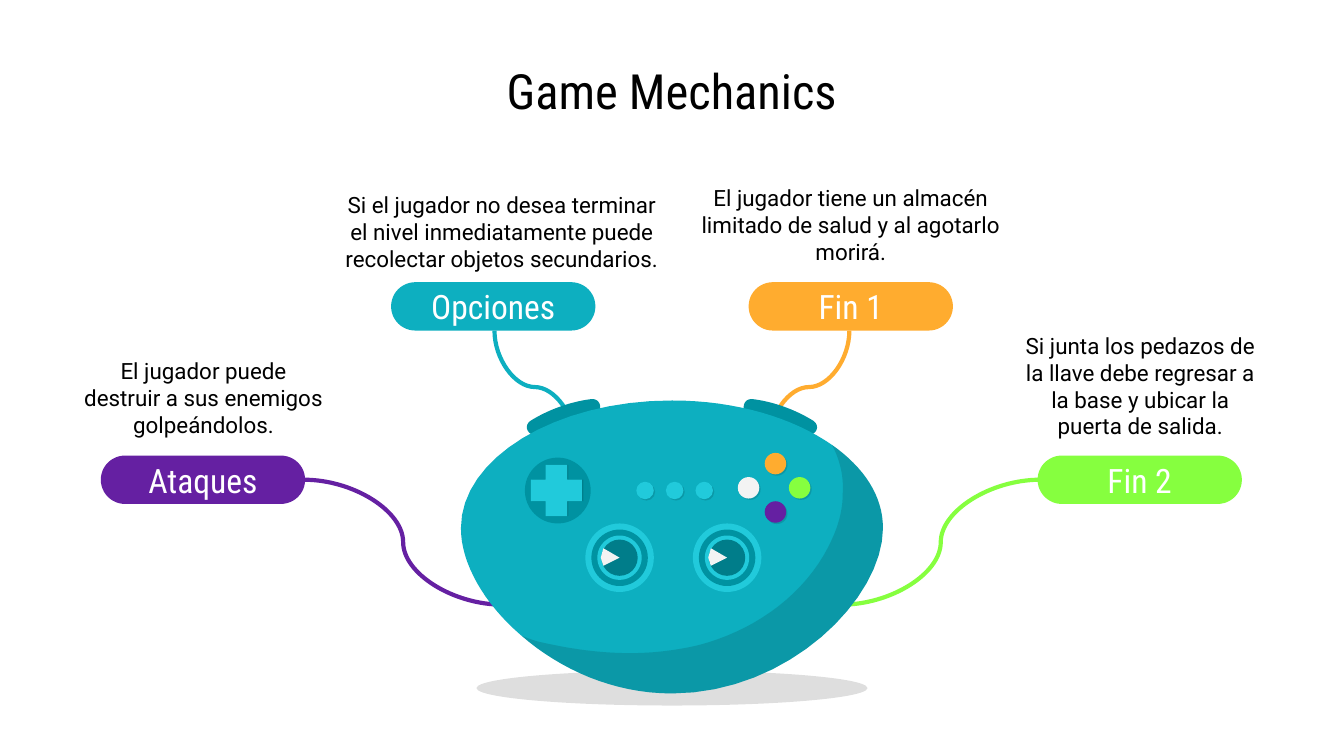
from lxml.etree import SubElement
from pptx import Presentation
from pptx.dml.color import RGBColor
from pptx.enum.shapes import MSO_CONNECTOR, MSO_SHAPE as SHAPE
from pptx.enum.text import MSO_ANCHOR, PP_ALIGN
from pptx.oxml.ns import qn
from pptx.util import Inches, Pt

TEAL, DARK, DEEP, LIGHT = "0DAFC0", "0092A1", "007D8A", "21CADB"
PURPLE, GREEN, ORANGE, PALE = "6520A2", "86FF3F", "FFAC2F", "F3F3F3"
SHADE = 13

TITLE = "Game Mechanics"
PILL_W, PILL_H = 1.52, 0.36
LABELS = [
    ("Ataques", "El jugador puede destruir a sus enemigos golpeándolos.",
     PURPLE, (0.75, 3.39), (0.5, 2.03, 0.86), (3.74, 4.5, 2.26, 3.57)),
    ("Fin 2", "Si junta los pedazos de la llave debe regresar a la base y ubicar la puerta de salida.",
     GREEN, (7.72, 3.39), (7.47, 2.03, 1.04), (6.26, 4.5, 7.74, 3.57)),
    ("Opciones", "Si el jugador no desea terminar el nivel inmediatamente puede recolectar objetos secundarios.",
     TEAL, (2.91, 2.1), (2.45, 2.57, 0.75), (4.28, 3.3, 3.68, 2.46)),
    ("Fin 1", "El jugador tiene un almacén limitado de salud y al agotarlo morirá.",
     ORANGE, (5.57, 2.1), (5.12, 2.42, 0.86), (5.72, 3.3, 6.32, 2.46)),
]

BUMPER = [(4.41, 2.97), (4.4, 2.97), (4.4, 2.97), (4.4, 2.97),
          (4.24, 2.99), (4.08, 3.05), (3.95, 3.13),
          (3.89, 3.17), (3.93, 3.24), (3.99, 3.24),
          (4, 3.24), (4.01, 3.24), (4.02, 3.23),
          (4.14, 3.16), (4.27, 3.11), (4.41, 3.09),
          (4.49, 3.08), (4.48, 2.97), (4.41, 2.97)]
BODY = [(5, 2.98), (4.13, 2.98), (3.43, 3.41), (3.43, 3.93),
        (3.43, 4.19), (3.6, 4.49), (3.88, 4.73),
        (4.17, 4.98), (4.56, 5.16), (5, 5.16),
        (5.87, 5.16), (6.57, 4.45), (6.57, 3.93),
        (6.57, 3.69), (6.43, 3.48), (6.19, 3.31),
        (5.9, 3.11), (5.48, 2.98), (5, 2.98)]
INNER = [(6.19, 3.31), (6.25, 3.42), (6.28, 3.55), (6.27, 3.68),
         (6.27, 3.84), (6.21, 3.99), (6.13, 4.13),
         (5.93, 4.47), (5.58, 4.7), (5.2, 4.8),
         (5.03, 4.84), (4.86, 4.86), (4.69, 4.86),
         (4.47, 4.86), (4.25, 4.83), (4.03, 4.78),
         (3.98, 4.77), (3.93, 4.75), (3.88, 4.73)]
SIDE = INNER + BODY[7:16]

STICKS = [(4.61, 4.15), (5.41, 4.15)]
RINGS = [(0.51, LIGHT), (0.42, DARK), (0.33, LIGHT), (0.27, DEEP)]
WEDGE = [(-0.12, -0.07), (-0.14, 0), (-0.12, 0.06), (0, 0)]
PAD = (4.15, 3.65)
BUTTONS = [(5.57, 3.63, 0.16, PALE), (5.95, 3.63, 0.16, GREEN),
           (5.77, 3.45, 0.16, ORANGE), (5.77, 3.81, 0.16, PURPLE)]
BUTTONS += [(4.8 + 0.22 * i, 3.65, 0.13, LIGHT) for i in range(3)]

prs = Presentation()
prs.slide_width, prs.slide_height = Inches(10), Inches(10 * 9 / 16)
slide = prs.slides.add_slide(prs.slide_layouts[5])
shapes = slide.shapes


def rgb(code):
    return RGBColor.from_string(code)


def paint(shape, color, alpha=None):
    shape.shadow.inherit = False
    shape.line.fill.background()
    shape.fill.solid()
    shape.fill.fore_color.rgb = rgb(color)
    if alpha:
        tone = shape.fill._xPr.find(qn("a:solidFill"))[0]
        SubElement(tone, qn("a:alpha")).set("val", str(alpha * 1000))


def write(shape, text, size, font, color):
    frame = shape.text_frame
    frame.text = text
    frame.word_wrap = True
    frame.vertical_anchor = MSO_ANCHOR.MIDDLE
    frame.margin_left = frame.margin_right = Inches(0.1)
    frame.margin_top = frame.margin_bottom = Inches(0.1)
    para = frame.paragraphs[0]
    para.alignment = PP_ALIGN.CENTER
    face = para.runs[0].font
    face.size, face.name, face.color.rgb = Pt(size), font, rgb(color)


def place(kind, x, y, w, h, color, alpha=None):
    shape = shapes.add_shape(kind, Inches(x), Inches(y), Inches(w), Inches(h))
    paint(shape, color, alpha)
    return shape


def center(kind, x, y, w, h, color, alpha=None):
    return place(kind, x - w / 2, y - h / 2, w, h, color, alpha)


def outline(points, color, alpha=None):
    spots = [(Inches(x), Inches(y)) for x, y in points]
    maker = shapes.build_freeform(*spots[0])
    maker.add_line_segments(spots[1:])
    paint(maker.convert_to_shape(), color, alpha)


def curve(nodes, steps=16):
    points = [nodes[0]]
    for i in range(0, len(nodes) - 1, 3):
        a, b, c, d = nodes[i:i + 4]
        for k in range(1, steps + 1):
            t = k / steps
            u = 1 - t
            points.append(tuple(
                u**3 * p + 3 * u * u * t * q + 3 * u * t * t * r + t**3 * s
                for p, q, r, s in zip(a, b, c, d)))
    return points


def wire(x1, y1, x2, y2, color, upright):
    turn = 0
    if upright:
        turn = 90 if x1 > x2 else 270
        side = 1 if x1 > x2 else -1
        cx, cy = (x1 + x2) / 2, (y1 + y2) / 2
        long, wide = (y1 - y2) / 2, abs(x1 - x2) / 2
        x1, x2 = cx + side * long, cx - side * long
        y1, y2 = cy - wide, cy + wide
    line = shapes.add_connector(MSO_CONNECTOR.CURVE, *map(Inches, (x1, y1, x2, y2)))
    line.line.color.rgb = rgb(color)
    line.line.width = Pt(2.25)
    props = line._element.spPr
    SubElement(props, qn("a:effectLst"))
    if turn:
        props.xfrm.set("rot", str(turn * 60000))


title = shapes.title
title.left, title.top, title.width, title.height = map(Inches, (0.5, 0.45, 9, 0.44))
write(title, TITLE, 26, "Roboto Condensed", "000000")

for name, note, color, (x, y), (left, wide, high), ends in LABELS:
    wire(*ends, color, upright=y < 3)
    box = shapes.add_textbox(*map(Inches, (left, y - high, wide, high)))
    write(box, note, 12, "Roboto", "000000")
    pill = place(SHAPE.ROUNDED_RECTANGLE, x, y, PILL_W, PILL_H, color)
    pill.adjustments[0] = 0.5
    write(pill, name, 18, "Roboto Condensed", "FFFFFF")
    pill.text_frame.paragraphs[0].space_after = Pt(2)

center(SHAPE.OVAL, 5, 5.12, 2.91, 0.26, "000000", SHADE)
outline(curve(BUMPER), DARK)
outline(curve([(10 - x, y) for x, y in BUMPER]), DARK)
outline(curve(BODY), TEAL)
outline(curve(SIDE), "000000", SHADE)

for x, y in STICKS:
    for size, color in RINGS:
        center(SHAPE.OVAL, x, y, size, size, color)
    outline([(x + dx, y + dy) for dx, dy in WEDGE], PALE)

center(SHAPE.OVAL, *PAD, 0.49, 0.49, DARK)
for shift, color, alpha in [(0, "000000", SHADE), (-0.01, LIGHT, None)]:
    cross = center(SHAPE.CROSS, PAD[0] + shift, PAD[1], 0.38, 0.38, color, alpha)
    cross.adjustments[0] = 0.29

for x, y, size, color in BUTTONS:
    center(SHAPE.OVAL, x + 0.01, y + 0.01, size, size, "000000", SHADE)
    center(SHAPE.OVAL, x, y, size, size, color)

prs.save("out.pptx")
